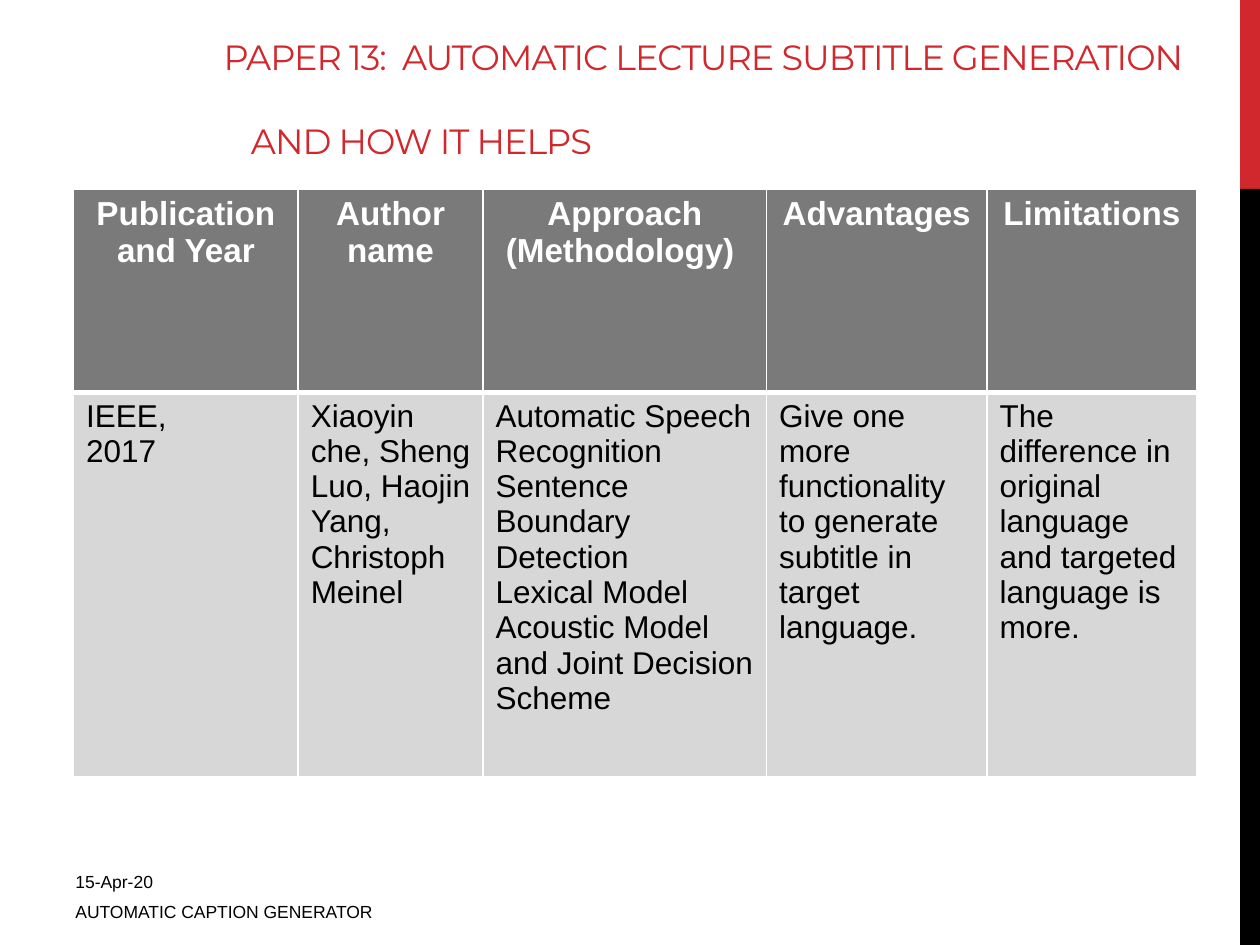
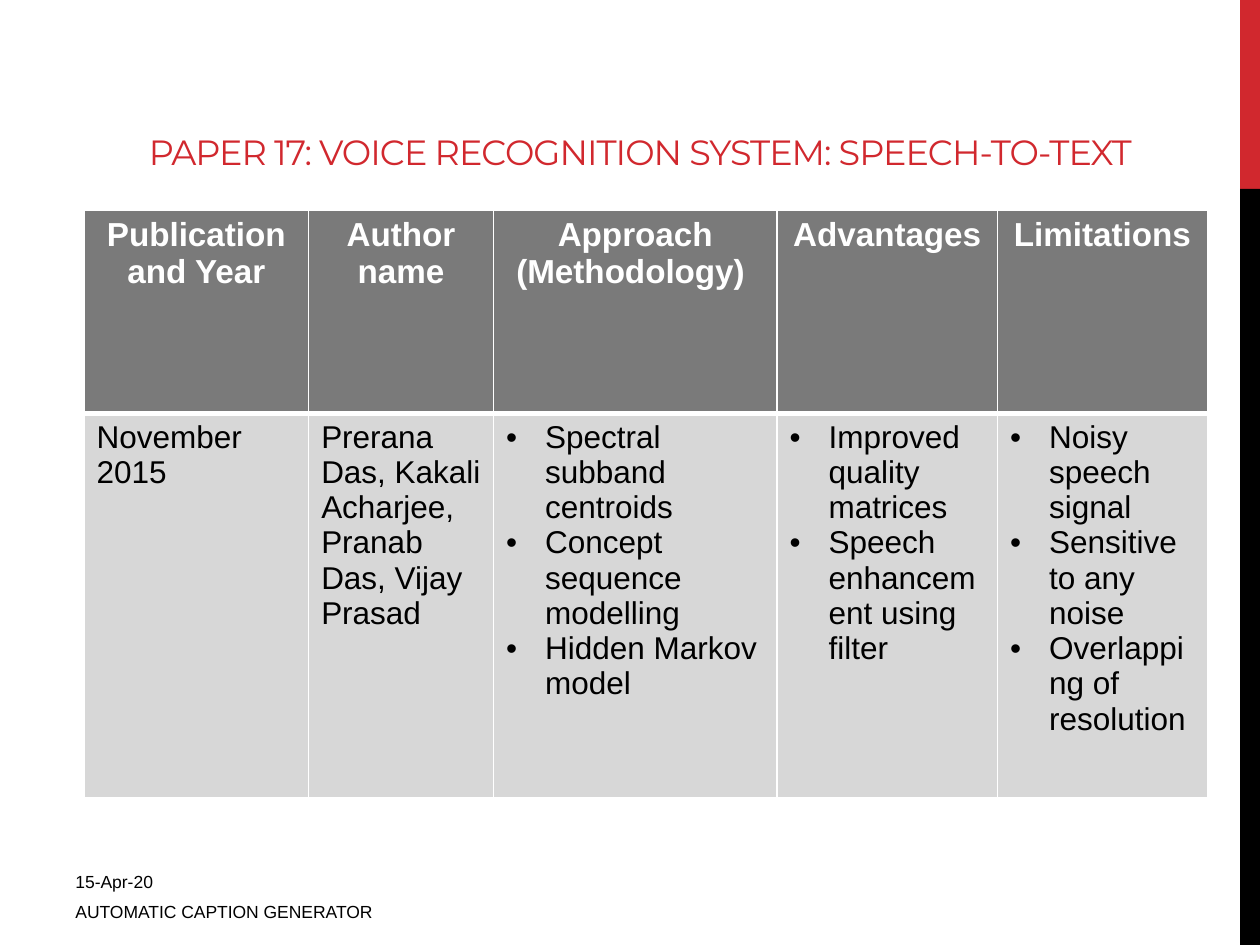
from lxml.etree import SubElement
from pptx import Presentation
from pptx.dml.color import RGBColor
from pptx.enum.shapes import MSO_SHAPE
from pptx.enum.text import MSO_ANCHOR, MSO_AUTO_SIZE, PP_ALIGN
from pptx.oxml.ns import qn
from pptx.util import Inches, Pt

HUES = {"red": "D1282E", "black": "000000", "white": "FFFFFF",
        "head": "7A7A7A", "body": "D7D7D7"}
COLS, ROWS = 120, 90
UNIT = Inches(10) / COLS
WIDTHS = (21.4, 17.6, 27, 21, 20)
HEIGHTS = (19.36, 36.6)
HEADS = ("Publication and Year", "Author name", "Approach (Methodology) ",
         "Advantages", "Limitations")
TITLE = {"size": 20, "face": "Montserrat", "hue": "red", "track": -60}
HANG = 3.72

PAPERS = (
    {
        "title": ["PAPER 13:  AUTOMATIC LECTURE SUBTITLE GENERATION",
                  "AND HOW IT HELPS"],
        "style": {"align": PP_ALIGN.LEFT, "dents": (19.1, 21.7), "gap": 24},
        "spot": (1, 5, 116, 11),
        "grid": (7, 18),
        "cells": (
            ["IEEE,", "2017"],
            ["Xiaoyin che, Sheng Luo, Haojin Yang, Christoph Meinel"],
            ["Automatic Speech Recognition", "Sentence Boundary Detection",
             "Lexical Model", "Acoustic Model and Joint Decision Scheme"],
            ["Give one more functionality to generate subtitle in target language."],
            ["The difference in original language and targeted language is more."],
        ),
        "dots": (),
    },
    {
        "title": ["PAPER 17: VOICE RECOGNITION SYSTEM: SPEECH-TO-TEXT"],
        "style": {"align": PP_ALIGN.CENTER, "dents": (3.9,)},
        "spot": (1, 2, 116, 15),
        "grid": (8, 20),
        "cells": (
            ["November 2015"],
            ["Prerana Das, Kakali Acharjee, Pranab Das, Vijay Prasad"],
            ["Spectral subband centroids", "Concept sequence modelling",
             "Hidden Markov model"],
            ["Improved quality matrices", "Speech enhancement using filter"],
            ["Noisy speech signal", "Sensitive to any noise",
             "Overlapping of resolution"],
        ),
        "dots": (2, 3, 4),
    },
)


def span(count):
    """Turn grid units into a length."""
    return round(count * UNIT)


def place(spot):
    return [span(part) for part in spot]


def tint(name):
    return RGBColor.from_string(HUES[name])


def write(frame, lines, size=10, face="Arial", hue="black", bold=False,
          align=PP_ALIGN.LEFT, track=0, dents=(), gap=0, dot=False):
    """Fill a text frame, one paragraph for each line."""
    frame.word_wrap = True
    for row, line in enumerate(lines):
        para = frame.paragraphs[0] if row == 0 else frame.add_paragraph()
        props = para._p.get_or_add_pPr()
        if dot:
            props.set("marL", str(span(HANG)))
            props.set("indent", str(-span(HANG)))
            SubElement(props, qn("a:buFont"), typeface="Arial")
            SubElement(props, qn("a:buChar"), char="•")
        elif dents:
            props.set("marL", str(span(dents[row])))
        para.alignment = align
        if row and gap:
            para.space_before = Pt(gap)
        run = para.add_run()
        run.text = line
        font = run.font
        font.size, font.name, font.bold = Pt(size), face, bold
        font.color.rgb = tint(hue)
        if track:
            run._r.get_or_add_rPr().set("spc", str(track))


def band(slide, top, tall, hue):
    """Add one part of the side band."""
    bar = slide.shapes.add_shape(MSO_SHAPE.RECTANGLE,
                                 *place((118.1, top, 1.9, tall)))
    bar.shadow.inherit = False
    paint(bar, hue)
    bar.line.fill.background()


def head(slide, paper):
    title = slide.shapes.title
    title.left, title.top, title.width, title.height = place(paper["spot"])
    frame = title.text_frame
    frame.auto_size = MSO_AUTO_SIZE.NONE
    frame.vertical_anchor = MSO_ANCHOR.BOTTOM
    write(frame, paper["title"], **TITLE, **paper["style"])


def edge(cell, top, base):
    """Draw white cell borders with the given top and bottom widths."""
    props = cell._tc.get_or_add_tcPr()
    for side, wide in zip("LRTB", (1, 1, top, base)):
        line = SubElement(props, qn(f"a:ln{side}"), w=str(Pt(wide)))
        fill = SubElement(line, qn("a:solidFill"))
        SubElement(fill, qn("a:srgbClr"), val=HUES["white"])


def paint(part, hue):
    part.fill.solid()
    part.fill.fore_color.rgb = tint(hue)


def chart(slide, paper):
    """Add the table that sums up one paper."""
    spot = (*paper["grid"], sum(WIDTHS), sum(HEIGHTS))
    table = slide.shapes.add_table(2, len(HEADS), *place(spot)).table
    table.horz_banding = False
    for row, tall in zip(table.rows, HEIGHTS):
        row.height = span(tall)
    for col, (name, lines) in enumerate(zip(HEADS, paper["cells"])):
        table.columns[col].width = span(WIDTHS[col])
        top, base = table.cell(0, col), table.cell(1, col)
        edge(top, 1, 3)
        edge(base, 3, 1)
        paint(top, "head")
        paint(base, "body")
        write(top.text_frame, [name], size=19, hue="white", bold=True,
              align=PP_ALIGN.CENTER)
        write(base.text_frame, lines, size=18, dot=col in paper["dots"])


def note(slide, text, top, tall, anchor=MSO_ANCHOR.TOP, base=0.6):
    """Add one footer line."""
    box = slide.shapes.add_textbox(*place((6, top, 45, tall)))
    frame = box.text_frame
    frame.vertical_anchor = anchor
    frame.margin_bottom = span(base)
    write(frame, [text])


def main():
    deck = Presentation()
    deck.slide_width, deck.slide_height = span(COLS), span(ROWS)
    for paper in PAPERS:
        slide = deck.slides.add_slide(deck.slide_layouts[5])
        band(slide, 0, 18, "red")
        band(slide, 18, 72, "black")
        head(slide, paper)
        chart(slide, paper)
        note(slide, "15-Apr-20", 81, 4, MSO_ANCHOR.BOTTOM, 0)
        note(slide, "AUTOMATIC CAPTION GENERATOR", 85.2, 3.7)
    deck.save("out.pptx")


if __name__ == "__main__":
    main()
